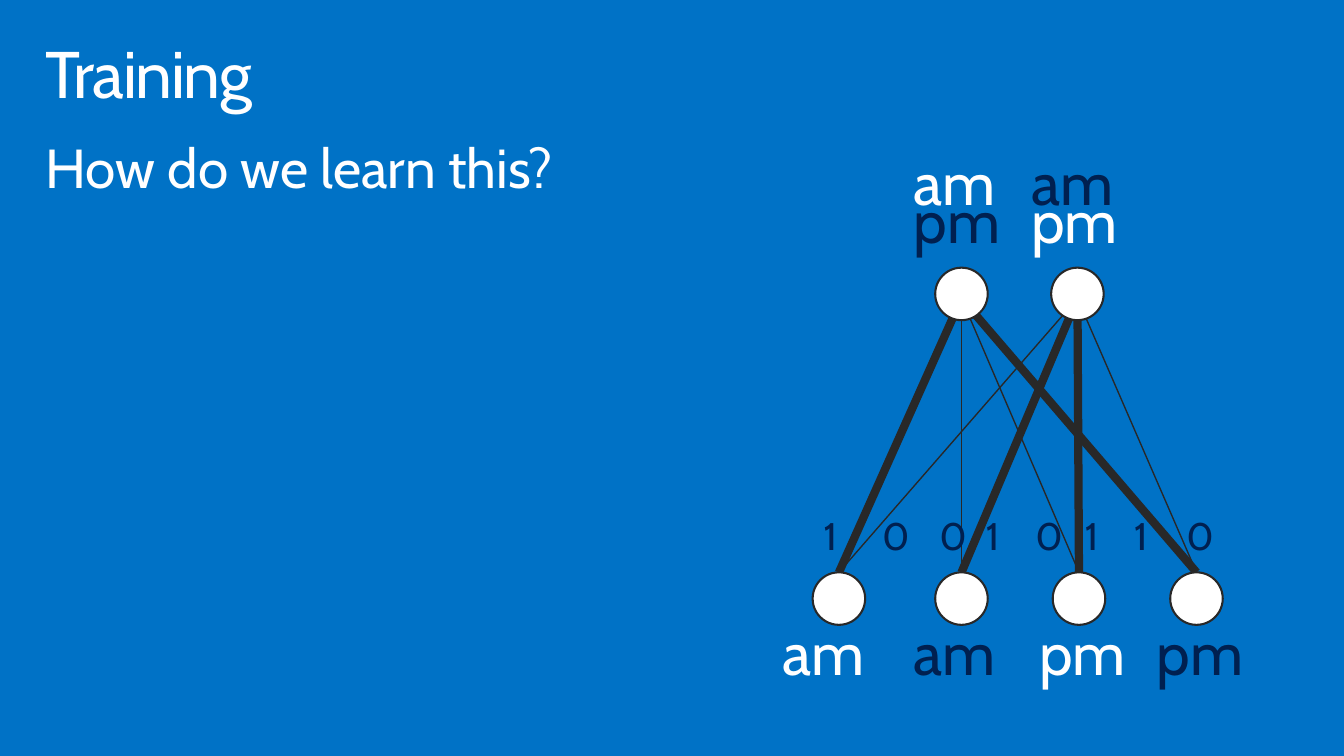
from pptx import Presentation
from pptx.dml.color import RGBColor
from pptx.enum.shapes import MSO_CONNECTOR, MSO_SHAPE
from pptx.enum.text import MSO_AUTO_SIZE
from pptx.oxml.ns import qn
from pptx.util import Cm, Pt
from lxml.etree import SubElement

BLUE = RGBColor(0x00, 0x72, 0xC6)
NAVY = RGBColor(0x00, 0x20, 0x50)
DARK = RGBColor(0x28, 0x28, 0x28)
WHITE = RGBColor(0xFF, 0xFF, 0xFF)

FONT = "Cabin"
NODE_SIZE = 1.35

# Centres and label positions in cm from the left of the network
OUTPUT_CENTRES = [5.1, 8.08]
OUTPUT_LABELS = [(3.36, (WHITE, NAVY)), (6.38, (NAVY, WHITE))]
INPUT_CENTRES = [1.95, 5.1, 8.12, 11.14]
INPUT_LABELS = [(0, "am", WHITE), (3.36, "am", NAVY),
                (6.59, "pm", WHITE), (9.61, "pm", NAVY)]
WEIGHTS = [(1, 0), (0, 1), (0, 1), (1, 0)]  # one row per input
WEIGHT_LEFTS = [1.05, 2.55, 4.02, 5.22, 6.49, 7.76, 9.03, 10.37]
WORD_WIDTHS = {"am": 3.18, "pm": 3.3}


def add_text(slide, text, left, top, width, height, size, color,
             insets=(0.51, 0.41), wrap=False):
    text_frame = slide.shapes.add_textbox(
        Cm(left), Cm(top), Cm(width), Cm(height)).text_frame
    text_frame.word_wrap = wrap
    text_frame.auto_size = MSO_AUTO_SIZE.SHAPE_TO_FIT_TEXT
    text_frame.margin_left = text_frame.margin_right = Cm(insets[0])
    text_frame.margin_top = text_frame.margin_bottom = Cm(insets[1])
    text_frame.text = text
    paragraph = text_frame.paragraphs[0]
    paragraph.line_spacing = 0.9
    run = paragraph.runs[0]
    run.font.name = FONT
    run.font.size = Pt(size)
    run.font.color.rgb = color
    return run


def add_edge(slide, start, end, weight):
    edge = slide.shapes.add_connector(
        MSO_CONNECTOR.STRAIGHT, *(Cm(value) for value in (*start, *end)))
    edge.line.color.rgb = DARK
    edge.line.width = Pt(6 if weight else 1)
    SubElement(edge._element.spPr, qn("a:effectLst"))


def add_node(slide, centre, top):
    node = slide.shapes.add_shape(
        MSO_SHAPE.OVAL, Cm(centre - NODE_SIZE / 2), Cm(top),
        Cm(NODE_SIZE), Cm(NODE_SIZE))
    node.shadow.inherit = False
    node.fill.solid()
    node.fill.fore_color.rgb = WHITE
    node.line.color.rgb = DARK
    node.line.width = Pt(1.5)


def add_word(slide, word, left, top, color):
    add_text(slide, word, left, top, WORD_WIDTHS[word], 2.51, 44, color)


def add_heading(slide, left, top, width):
    insets = (0.41, 0.25)
    title = add_text(slide, "Training", left, top, width, 2.54, 48, WHITE,
                     insets, wrap=True)
    title.font._element.set("spc", "-100")
    add_text(slide, "How do we learn this?", left, top + 2.57, 18.42, 2.06,
             40, WHITE, insets, wrap=True)


def add_network(slide, left, top):
    """Two output nodes above four inputs; thick edges carry weight 1."""
    output_top, input_top = top + 3.35, top + 11.18

    for input_centre, row in zip(INPUT_CENTRES, WEIGHTS):
        for output_centre, weight in zip(OUTPUT_CENTRES, row):
            add_edge(slide, (left + input_centre, input_top),
                     (left + output_centre, output_top + 0.79), weight)

    for centres, node_top in ((INPUT_CENTRES, input_top),
                              (OUTPUT_CENTRES, output_top)):
        for centre in centres:
            add_node(slide, left + centre, node_top)

    for offset, word, color in INPUT_LABELS:
        add_word(slide, word, left + offset, top + 12.09, color)
    for offset, colors in OUTPUT_LABELS:
        for line, (word, color) in enumerate(zip(("am", "pm"), colors)):
            add_word(slide, word, left + offset, top + 0.99 * line, color)

    weights = [weight for row in WEIGHTS for weight in row]
    for offset, weight in zip(WEIGHT_LEFTS, weights):
        add_text(slide, str(weight), left + offset, top + 9.36, 1.57, 1.9,
                 28, NAVY)


def main():
    presentation = Presentation()
    presentation.slide_width = Cm(34.54)
    presentation.slide_height = Cm(19.43)
    slide = presentation.slides.add_slide(presentation.slide_layouts[6])
    slide.background.fill.solid()
    slide.background.fill.fore_color.rgb = BLUE
    add_heading(slide, 0.76, 0.81, 33.02)
    add_network(slide, 19.61, 3.53)
    presentation.save("out.pptx")


if __name__ == "__main__":
    main()
